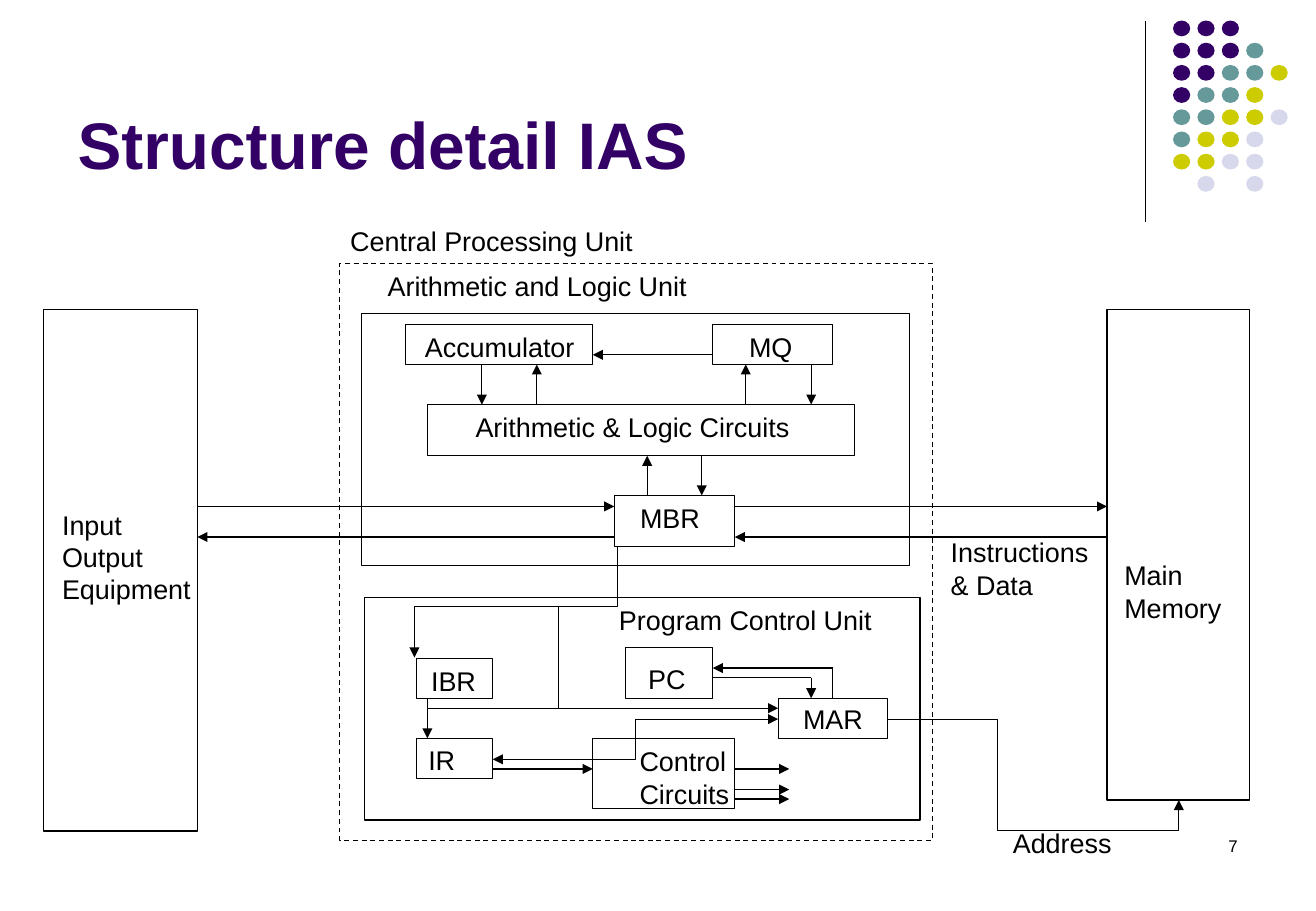
"""Build the slide showing the detailed structure of the IAS computer."""
from dataclasses import dataclass

from lxml import etree
from pptx import Presentation
from pptx import util as u
from pptx.dml.color import RGBColor
from pptx.enum import dml, shapes, text
from pptx.oxml import ns

FONT = "Arial"
BLACK = RGBColor(0x00, 0x00, 0x00)
PURPLE = RGBColor(0x33, 0x00, 0x66)
TEAL = RGBColor(0x66, 0x99, 0x99)
LIME = RGBColor(0xCC, 0xCC, 0x00)
LAVENDER = RGBColor(0xD8, 0xD8, 0xEC)

LEFT, CENTER, RIGHT = text.PP_ALIGN.LEFT, text.PP_ALIGN.CENTER, text.PP_ALIGN.RIGHT


@dataclass(frozen=True)
class Unit:
    left: float
    top: float
    width: float
    height: float
    dashed: bool = False
    caption: str = ""


@dataclass(frozen=True)
class Label:
    words: str
    left: float
    top: float
    width: float
    height: float = 0.94
    size: float = 16
    align: text.PP_ALIGN = LEFT


@dataclass(frozen=True)
class Signal:
    x1: float
    y1: float
    x2: float
    y2: float
    ends: tuple[str, ...] = ("tailEnd",)
    bends: tuple[int, ...] = ()
    rotation: int = 0


DOT_ROWS = ("PPP  ", "PPPT ", "PPTTY", "PTTY ", "TTYYL", "TYYL ", "YYLL ", " L L ")
DOT_COLORS = {"P": PURPLE, "T": TEAL, "Y": LIME, "L": LAVENDER}
DOT_LEFT, DOT_TOP, DOT_WIDTH, DOT_HEIGHT = 24.54, 0.43, 0.36, 0.33
DOT_STEP_X, DOT_STEP_Y = 0.51, 3.25 / 7

UNITS = (
    Unit(7.11, 5.51, 12.4, 12.07, dashed=True),
    Unit(0.91, 6.48, 3.22, 10.9),
    Unit(7.57, 6.55, 11.46, 5.28),
    Unit(7.62, 12.5, 11.63, 4.65),
    Unit(23.16, 6.48, 2.98, 10.25),
    Unit(12.85, 10.36, 2.51, 1.07),
    Unit(8.94, 8.46, 8.94, 1.07),
    Unit(8.48, 6.78, 3.91, 0.84),
    Unit(14.91, 6.78, 2.51, 0.84),
    Unit(8.71, 13.77, 1.6, 0.84),
    Unit(8.71, 15.44, 1.6, 0.84),
    Unit(12.4, 15.44, 2.97, 1.47),
    Unit(13.08, 13.54, 1.83, 1.07),
    Unit(16.28, 14.6, 2.29, 0.84, caption="MAR"),
)

LABELS = (
    Label("Central Processing Unit", 6.82, 4.57, 6.93, align=CENTER),
    Label("Arithmetic and Logic Unit", 7.86, 5.51, 7.3),
    Label("Accumulator", 8.64, 6.78, 4.1),
    Label("MQ", 15.42, 6.78, 1.9),
    Label("Arithmetic & Logic Circuits", 9.7, 8.47, 7.8),
    Label("MBR", 13.14, 10.37, 2.2),
    Label("Input\nOutput\nEquipment", 1.05, 10.5, 3.6, 2.29),
    Label("Instructions\n& Data", 19.64, 11.08, 3.8, 1.63),
    Label("Main\nMemory", 23.27, 11.56, 3, 1.63),
    Label("Program Control Unit", 12.7, 12.5, 6.3),
    Label("IBR", 8.77, 13.77, 1.9),
    Label("PC", 13.31, 13.72, 1.8),
    Label("IR", 8.71, 15.42, 1.5),
    Label("Control\nCircuits", 13.13, 15.45, 3, 1.63),
    Label("Address", 20.94, 17.15, 3),
    Label("7", 19.71, 17.35, 6.43, size=10, align=RIGHT),
)

SIGNALS = (
    Signal(23.96, 0.43, 23.96, 4.65, ends=()),
    Signal(4.13, 10.59, 12.85, 10.59),
    Signal(12.85, 11.23, 4.13, 11.23),
    Signal(15.37, 10.59, 23.16, 10.59),
    Signal(23.16, 11.23, 15.37, 11.23),
    Signal(13.54, 10.36, 13.54, 9.53),
    Signal(14.68, 9.53, 14.68, 10.36),
    Signal(10.08, 7.62, 10.08, 8.46),
    Signal(11.23, 8.46, 11.23, 7.62),
    Signal(15.6, 8.46, 15.6, 7.62),
    Signal(16.97, 7.62, 16.97, 8.46),
    Signal(14.91, 7.42, 12.4, 7.42),
    Signal(8.94, 14.61, 8.94, 15.44),
    Signal(10.31, 16.08, 12.4, 16.08),
    Signal(17.42, 13.97, 14.91, 13.97),
    Signal(17.42, 13.97, 17.42, 14.6, ends=()),
    Signal(16.97, 14.17, 16.97, 14.6),
    Signal(16.97, 14.17, 14.91, 14.17, ends=()),
    Signal(8.94, 14.81, 16.28, 14.81),
    Signal(11.68, 12.7, 11.68, 14.81, ends=()),
    *(Signal(15.37, y, 16.51, y) for y in (16.08, 16.51, 16.71)),
    Signal(18.57, 15.04, 24.66, 16.73, bends=(37700, 137500)),
    Signal(10.31, 15.88, 16.28, 15.04, ends=("headEnd", "tailEnd"), bends=(50000,)),
    Signal(9.63, 10.46, 11.96, 14.71, bends=(54000,), rotation=90),
)


def write(frame, words: str, size: float, align: text.PP_ALIGN,
          color: RGBColor = BLACK, bold: bool = False) -> None:
    frame.text = words
    for paragraph in frame.paragraphs:
        paragraph.alignment = align
        paragraph.font.name = FONT
        paragraph.font.size = u.Pt(size)
        paragraph.font.bold = bold
        paragraph.font.color.rgb = color


def draw_title(slide) -> None:
    title = slide.shapes.title
    title.left, title.top = u.Cm(1.37), u.Cm(0.33)
    title.width, title.height = u.Cm(22.71), u.Cm(3.61)
    title.text_frame.vertical_anchor = text.MSO_ANCHOR.BOTTOM
    write(title.text_frame, "Structure detail IAS", 39, LEFT, PURPLE, bold=True)


def draw_dots(slide) -> None:
    for row, pattern in enumerate(DOT_ROWS):
        for column, key in enumerate(pattern):
            if key in DOT_COLORS:
                dot = slide.shapes.add_shape(
                    shapes.MSO_SHAPE.OVAL,
                    u.Cm(DOT_LEFT + column * DOT_STEP_X), u.Cm(DOT_TOP + row * DOT_STEP_Y),
                    u.Cm(DOT_WIDTH), u.Cm(DOT_HEIGHT))
                dot.shadow.inherit = False
                dot.fill.solid()
                dot.fill.fore_color.rgb = DOT_COLORS[key]
                dot.line.fill.background()


def draw_unit(slide, unit: Unit) -> None:
    box = slide.shapes.add_shape(
        shapes.MSO_SHAPE.RECTANGLE, u.Cm(unit.left), u.Cm(unit.top),
        u.Cm(unit.width), u.Cm(unit.height))
    box.shadow.inherit = False
    box.fill.background()
    box.line.color.rgb = BLACK
    box.line.width = u.Pt(0.75)
    if unit.dashed:
        box.line.dash_style = dml.MSO_LINE.DASH
    if unit.caption:
        box.text_frame.word_wrap = False
        write(box.text_frame, unit.caption, 16, CENTER)


def draw_label(slide, label: Label) -> None:
    box = slide.shapes.add_textbox(
        u.Cm(label.left), u.Cm(label.top), u.Cm(label.width), u.Cm(label.height))
    box.text_frame.word_wrap = True
    write(box.text_frame, label.words, label.size, label.align)


def draw_signal(slide, signal: Signal) -> None:
    kind = shapes.MSO_CONNECTOR.ELBOW if signal.bends else shapes.MSO_CONNECTOR.STRAIGHT
    wire = slide.shapes.add_connector(
        kind, u.Cm(signal.x1), u.Cm(signal.y1), u.Cm(signal.x2), u.Cm(signal.y2))
    wire.line.color.rgb = BLACK
    wire.line.width = u.Pt(0.75)
    properties = wire._element.spPr
    outline = properties.find(ns.qn("a:ln"))
    for end in signal.ends:
        etree.SubElement(outline, ns.qn(f"a:{end}"), type="triangle")
    etree.SubElement(properties, ns.qn("a:effectLst"))
    if signal.rotation:
        properties.find(ns.qn("a:xfrm")).set("rot", str(signal.rotation * 60000))
    if signal.bends:
        geometry = properties.find(ns.qn("a:prstGeom"))
        geometry.set("prst", f"bentConnector{len(signal.bends) + 2}")
        guides = geometry.find(ns.qn("a:avLst"))
        for number, bend in enumerate(signal.bends, 1):
            etree.SubElement(guides, ns.qn("a:gd"), name=f"adj{number}", fmla=f"val {bend}")


def main() -> None:
    deck = Presentation()
    deck.slide_width, deck.slide_height = u.Cm(27.53), u.Cm(19.05)
    slide = deck.slides.add_slide(deck.slide_layouts[5])
    draw_title(slide)
    draw_dots(slide)
    for unit in UNITS:
        draw_unit(slide, unit)
    for label in LABELS:
        draw_label(slide, label)
    for signal in SIGNALS:
        draw_signal(slide, signal)
    deck.save("out.pptx")


if __name__ == "__main__":
    main()
